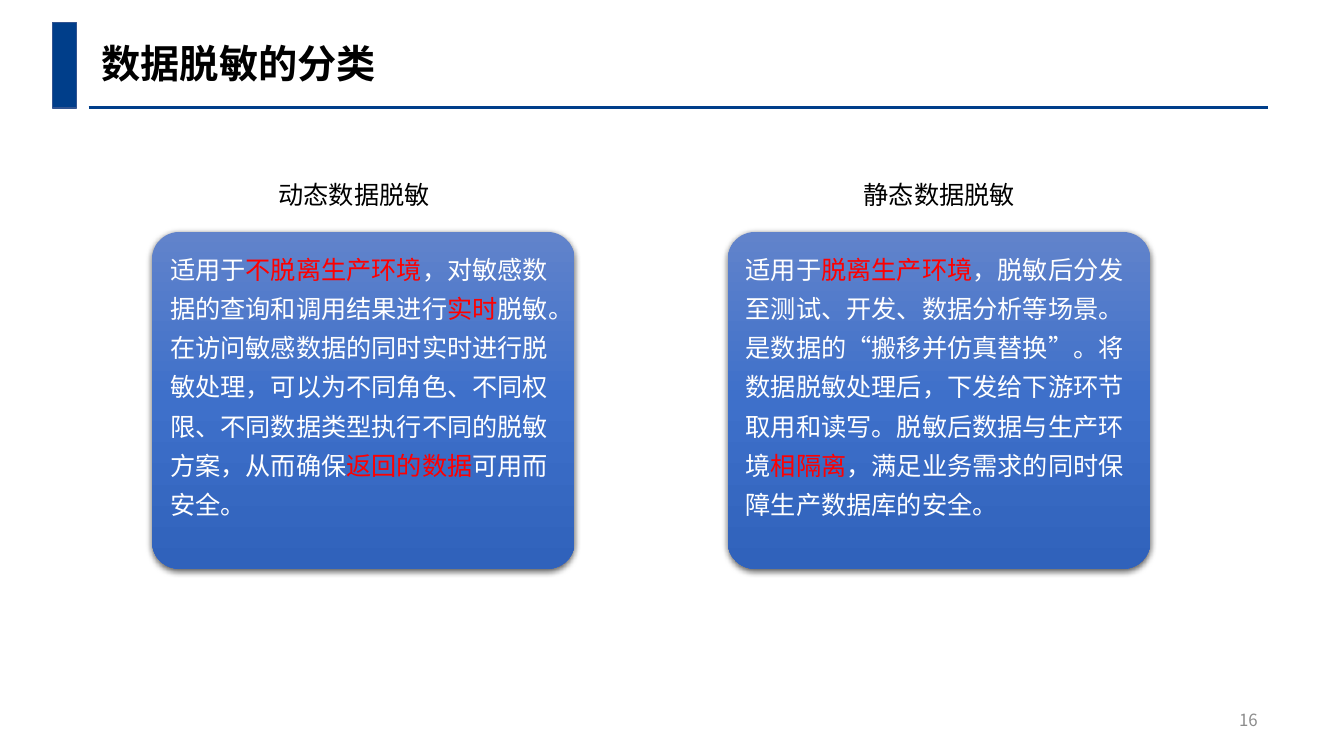
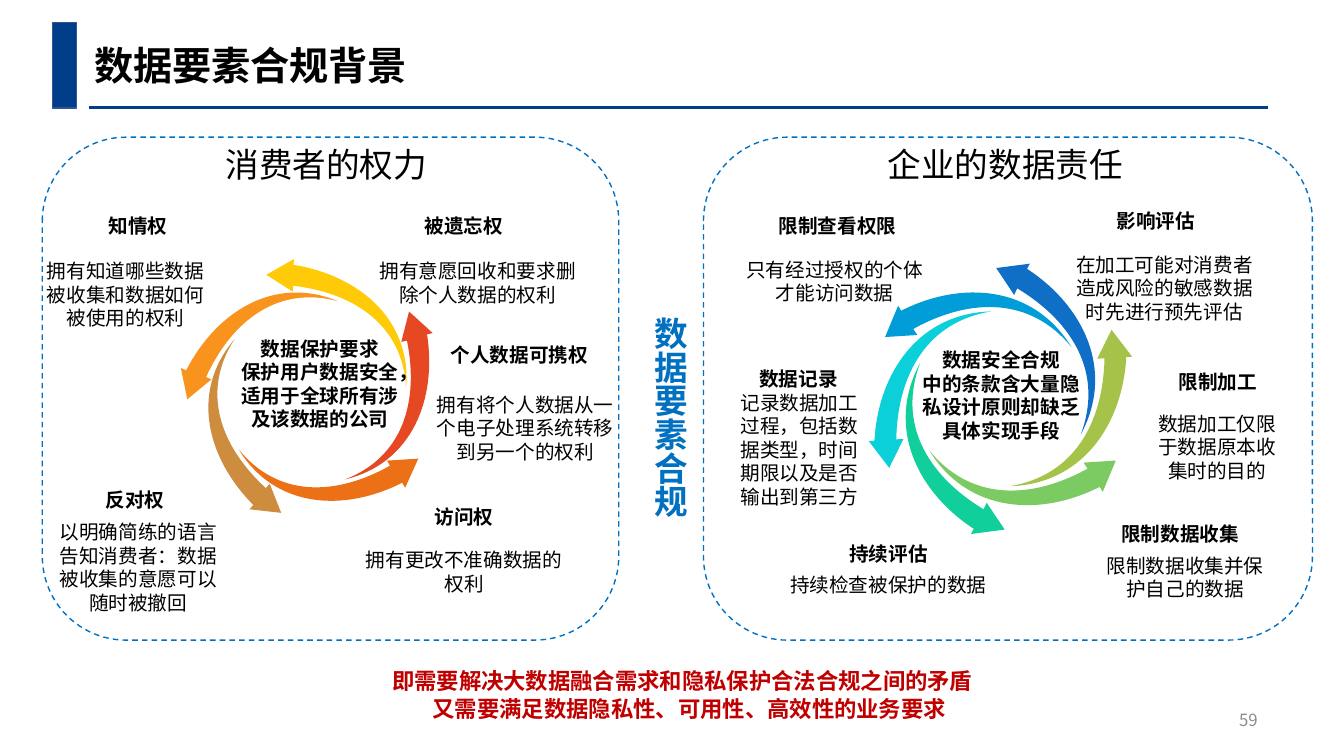
from copy import deepcopy
from dataclasses import dataclass
from math import cos, radians, sin

from lxml import etree
from pptx import Presentation
from pptx.dml.color import RGBColor
from pptx.enum import dml, shapes, text
from pptx.oxml import ns
from pptx.util import Pt


@dataclass(frozen=True)
class Theme:
    font: str = "Noto Sans CJK SC"
    black: str = "000000"
    white: str = "FFFFFF"
    navy: str = "003E8A"
    navy_edge: str = "325491"
    blue: str = "0070C0"
    highlight: str = "FF0000"
    conclusion: str = "C00000"
    grey: str = "8C8C8C"
    card_stops: tuple = ("6183CB", "3E70CA", "3062BB")
    title: int = 28
    heading: int = 24
    card: int = 18
    note: int = 16
    body: int = 14
    number: int = 12


THEME = Theme()
LEFT, CENTER, RIGHT = text.PP_ALIGN.LEFT, text.PP_ALIGN.CENTER, text.PP_ALIGN.RIGHT
MIDDLE = text.MSO_ANCHOR.MIDDLE

# Arrow outlines around the wheel centre: tail, inner curve, head, outer curve
WHEEL_OF_FIVE = (((-52.6, 41.5),), ((-25.2, 75.3), (15.8, 75.3), (55.4, 53)),
                 ((53.3, 49.4), (75.6, 48), (66.2, 68.8), (64.1, 65.2)),
                 ((23, 86.1), (-26.6, 84), (-52.6, 41.5)))
WHEEL_OF_SIX = (((-50.8, 36.9),), ((-22, 72.2), (20.5, 72.9), (62.3, 49.9)),
                ((59.4, 45.6), (82.4, 44.1), (73.1, 66.5), (70.9, 62.9)),
                ((28.4, 84.5), (-23.4, 81.6), (-50.8, 36.9)))

# Arrow colours with the rotation of each arrow
RIGHTS_ARROWS = (("EC7016", 300), ("E64823", 288), ("FFCA08", 336),
                 ("F8931D", 324), ("CE8D3E", 312))
DUTIES_ARROWS = tuple((color, 0) for color in (
    "7CCA62", "A5C249", "0F6FC6", "009DD9", "0BD0D9", "10CF9B"))

# Card paragraphs: (words, highlighted) runs
DYNAMIC = (
    (("适用于", False), ("不脱离生产环境", True),
     ("，对敏感数据的查询和调用结果进行", False), ("实时", True), ("脱敏。", False)),
    (("在访问敏感数据的同时实时进行脱敏处理，可以为不同角色、不同权限、"
      "不同数据类型执行不同的脱敏方案，从而确保", False),
     ("返回的数据", True), ("可用而安全。", False)),
)
STATIC = (
    (("适用于", False), ("脱离生产环境", True),
     ("，脱敏后分发至测试、开发、数据分析等场景。", False)),
    (("是数据的“搬移并仿真替换”。将数据脱敏处理后，下发给下游环节取用和读写。"
      "脱敏后数据与生产环境", False),
     ("相隔离", True), ("，满足业务需求的同时保障生产数据库的安全。", False)),
)

# Wheel labels: name, centre and top of the name, box of the explanation
RIGHTS = (
    ("知情权", (98.5, 149), "拥有知道哪些数据被收集和数据如何被使用的权利", (26, 181, 127.5, 58.5)),
    ("被遗忘权", (331.5, 149), "拥有意愿回收和要求删除个人数据的权利", (262.5, 181.5, 157.5, 41)),
    ("个人数据可携权", (371, 241.5), "拥有将个人数据从一个电子处理系统转移到另一个的权利",
     (304, 276.5, 142.5, 58.5)),
    ("访问权", (331.5, 357), "拥有更改不准确数据的权利", (254, 388, 155, 41)),
    ("反对权", (96.5, 345), "以明确简练的语言告知消费者：数据被收集的意愿可以随时被撤回",
     (32.5, 367.5, 132.5, 75)),
)
DUTIES = (
    ("限制查看权限", (598.25, 149), "只有经过授权的个体才能访问数据", (523.5, 180.25, 145.5, 41)),
    ("影响评估", (825.75, 145.5), "在加工可能对消费者造成风险的敏感数据时先进行预先评估",
     (755.25, 176.5, 153, 58)),
    ("限制加工", (870, 260.5), "数据加工仅限于数据原本收集时的目的", (817, 290, 105, 58.5)),
    ("限制数据收集", (843, 369.5), "限制数据收集并保护自己的数据", (782, 391.75, 129, 41)),
    ("持续评估", (634.75, 383.75), "持续检查被保护的数据", (556, 405.5, 157, 24.5)),
    ("数据记录", (570.5, 258.5), "记录数据加工过程，包括数据类型，时间期限以及是否输出到第三方",
     (517, 275, 108, 92)),
)


def rgb(color):
    return RGBColor.from_string(color)


def points(box):
    return [Pt(value) for value in box]


def style(paragraph, size, color, bold=False, align=LEFT):
    paragraph.alignment = align
    font = paragraph.font
    font.size, font.bold, font.name = Pt(size), bold, THEME.font
    font.color.rgb = rgb(color)
    properties = paragraph._p.xpath("./a:pPr/a:defRPr")[0]
    etree.SubElement(properties, ns.qn("a:ea")).set("typeface", THEME.font)


def add_text(slide, box, lines, size, color=THEME.black, bold=False, align=LEFT,
             anchor=text.MSO_ANCHOR.TOP, wrap=True, grow=True):
    shape = slide.shapes.add_textbox(*points(box))
    frame = shape.text_frame
    frame.word_wrap, frame.vertical_anchor = wrap, anchor
    if grow:
        frame.auto_size = text.MSO_AUTO_SIZE.SHAPE_TO_FIT_TEXT
    frame.text = lines
    for paragraph in frame.paragraphs:
        style(paragraph, size, color, bold, align)
    return shape


def add_box(slide, kind, box):
    shape = slide.shapes.add_shape(kind, *points(box))
    shape.shadow.inherit = False
    return shape


def add_frame(slide, title, title_box, align, number):
    # Rule, band, title and slide number
    rule = slide.shapes.add_connector(
        shapes.MSO_CONNECTOR.STRAIGHT, *points((63.25, 77, 905.75, 77)))
    rule.line.color.rgb, rule.line.width = rgb(THEME.navy), Pt(2.25)
    etree.SubElement(rule._element.spPr, ns.qn("a:effectLst"))
    band = add_box(slide, shapes.MSO_SHAPE.RECTANGLE, (37.4, 15.9, 17.25, 61.25))
    band.fill.solid()
    band.fill.fore_color.rgb = rgb(THEME.navy)
    band.line.color.rgb, band.line.width = rgb(THEME.navy_edge), Pt(1)
    add_text(slide, title_box, title, THEME.title, bold=True, align=align, grow=False)
    add_text(slide, (743.5, 499.5, 162, 29), str(number), THEME.number, THEME.grey,
             align=RIGHT, anchor=MIDDLE, grow=False)


def add_card(slide, left, paragraphs):
    card = add_box(slide, shapes.MSO_SHAPE.ROUNDED_RECTANGLE, (left, 165.75, 301.7, 240.5))
    card.adjustments[0] = 0.08
    card.line.fill.background()

    # Three-stop gradient, from top to bottom
    card.fill.gradient()
    card.fill.gradient_angle = 270
    stop_list = card._element.xpath(".//a:gsLst")[0]
    stop_list.append(deepcopy(stop_list[-1]))
    for index, (stop, color) in enumerate(zip(card.fill.gradient_stops, THEME.card_stops)):
        stop.position, stop.color.rgb = index / 2, rgb(color)

    # Soft shadow below
    effects = card._element.spPr.find(ns.qn("a:effectLst"))
    shadow = etree.SubElement(effects, ns.qn("a:outerShdw"), blurRad=str(Pt(4.5)),
                              dist=str(Pt(1.5)), dir="5400000", rotWithShape="0")
    shade = etree.SubElement(shadow, ns.qn("a:srgbClr"), val=THEME.black)
    etree.SubElement(shade, ns.qn("a:alpha"), val="63000")

    frame = card.text_frame
    frame.word_wrap, frame.vertical_anchor = True, text.MSO_ANCHOR.TOP
    for index, runs in enumerate(paragraphs):
        paragraph = frame.add_paragraph() if index else frame.paragraphs[0]
        paragraph.line_spacing = 1.3
        style(paragraph, THEME.card, THEME.white)
        for words, highlighted in runs:
            run = paragraph.add_run()
            run.text = words
            run.font.color.rgb = rgb(THEME.highlight if highlighted else THEME.white)


def turn(point, center, degrees):
    # Point relative to the centre, turned and placed in slide lengths
    x, y = point
    across, down = cos(radians(degrees)), sin(radians(degrees))
    return (round(center[0] + x * across - y * down),
            round(center[1] + x * down + y * across))


def curve(start, first, second, end, steps=16):
    # Points along a cubic Bezier curve, to measure its extent
    for step in range(1, steps + 1):
        t = step / steps
        weights = ((1 - t) ** 3, 3 * t * (1 - t) ** 2, 3 * t * t * (1 - t), t ** 3)
        yield tuple(sum(weight * point[axis] for weight, point
                        in zip(weights, (start, first, second, end))) for axis in (0, 1))


def add_arrow(slide, center, outline, degrees, color, rotation):
    tail, inner, head, outer = [
        [turn(points((x, y)), center, degrees - rotation) for x, y in part]
        for part in outline]
    builder = slide.shapes.build_freeform(*tail[0])
    builder.add_line_segments(
        [*curve(tail[0], *inner), *head, *curve(head[-1], *outer)], close=True)
    arrow = builder.convert_to_shape()

    # Exact curves within the measured extent
    geometry = arrow._element.xpath(".//a:path")[0]
    for segment in list(geometry):
        geometry.remove(segment)
    for tag, vertices in (("moveTo", tail), ("cubicBezTo", inner),
                          *(("lnTo", [corner]) for corner in head),
                          ("cubicBezTo", outer), ("close", ())):
        segment = etree.SubElement(geometry, ns.qn("a:" + tag))
        for x, y in vertices:
            etree.SubElement(segment, ns.qn("a:pt"),
                             x=str(x - arrow.left), y=str(y - arrow.top))

    # Rotate the shape around the wheel centre
    middle = (arrow.left + arrow.width / 2 - center[0],
              arrow.top + arrow.height / 2 - center[1])
    x, y = turn(middle, center, rotation)
    arrow.left, arrow.top = round(x - arrow.width / 2), round(y - arrow.height / 2)
    arrow.rotation = rotation
    arrow.shadow.inherit = False
    arrow.fill.solid()
    arrow.fill.fore_color.rgb = rgb(color)
    arrow.line.fill.background()


def add_wheel(slide, center, outline, arrows):
    # One outline, turned counter-clockwise in equal steps
    for index, (color, rotation) in enumerate(arrows):
        add_arrow(slide, points(center), outline, -360 / len(arrows) * index, color, rotation)


def add_labels(slide, labels):
    for name, (middle, top), explanation, box in labels:
        width = THEME.body * len(name) + 15.5
        add_text(slide, box, explanation, THEME.body, align=CENTER, anchor=MIDDLE)
        add_text(slide, (middle - width / 2, top, width, 24.5), name, THEME.body,
                 bold=True, align=CENTER, wrap=False)


def add_panel(slide, left, width):
    panel = add_box(slide, shapes.MSO_SHAPE.ROUNDED_RECTANGLE, (left, 98, width, 359.25))
    panel.fill.background()
    panel.line.color.rgb, panel.line.width = rgb(THEME.blue), Pt(1)
    panel.line.dash_style = dml.MSO_LINE.DASH


def build_masking_types(slide):
    add_frame(slide, "数据脱敏的分类", (65.5, 24.5, 505.5, 41), LEFT, 16)
    for name, name_left, card_left, paragraphs in (
            ("动态数据脱敏", 173, 108.75, DYNAMIC), ("静态数据脱敏", 591, 519.9, STATIC)):
        add_text(slide, (name_left, 124.5, 160, 29), name, THEME.card, align=CENTER)
        add_card(slide, card_left, paragraphs)


def build_compliance_background(slide):
    add_frame(slide, "数据要素合规背景", (57, 26, 244, 56), CENTER, 59)

    # Two wheels with their labels
    for heading, heading_box, center, outline, arrows, hub, hub_box, labels, panel in (
            ("企业的数据责任", (627, 99.5, 190, 36), (714.6, 284.9), WHEEL_OF_SIX, DUTIES_ARROWS,
             "数据安全合规\n中的条款含大量隐私设计原则却缺乏具体实现手段",
             (649, 245.25, 132.5, 75), DUTIES, (502.5, 435)),
            ("消费者的权力", (154, 99.5, 270.5, 41), (223.2, 279.6), WHEEL_OF_FIVE, RIGHTS_ARROWS,
             "数据保护要求\n保护用户数据安全，适用于全球所有涉及该数据的公司",
             (160.75, 237, 135.5, 75), RIGHTS, (30.25, 411.75))):
        add_text(slide, heading_box, heading, THEME.heading, grow=False)
        add_wheel(slide, center, outline, arrows)
        add_text(slide, hub_box, hub, THEME.body, bold=True, align=CENTER)
        add_labels(slide, labels)
        add_panel(slide, *panel)

    # Vertical link between the panels
    link = add_text(slide, (452.75, 219.5, 44, 152.5), "数据要素合规", THEME.heading,
                    THEME.blue, bold=True, wrap=False)
    link.text_frame._txBody.bodyPr.set("vert", "eaVert")

    # Conclusion
    for box, line in (
            ((273, 473, 501, 26.5), "即需要解决大数据融合需求和隐私保护合法合规之间的矛盾"),
            ((302, 493, 456.5, 26.5), "又需要满足数据隐私性、可用性、高效性的业务要求")):
        add_text(slide, box, line, THEME.note, THEME.conclusion, bold=True)


def main():
    presentation = Presentation()
    presentation.slide_width, presentation.slide_height = Pt(960), Pt(540)
    for build in (build_masking_types, build_compliance_background):
        build(presentation.slides.add_slide(presentation.slide_layouts[6]))
    presentation.save("out.pptx")


if __name__ == "__main__":
    main()
